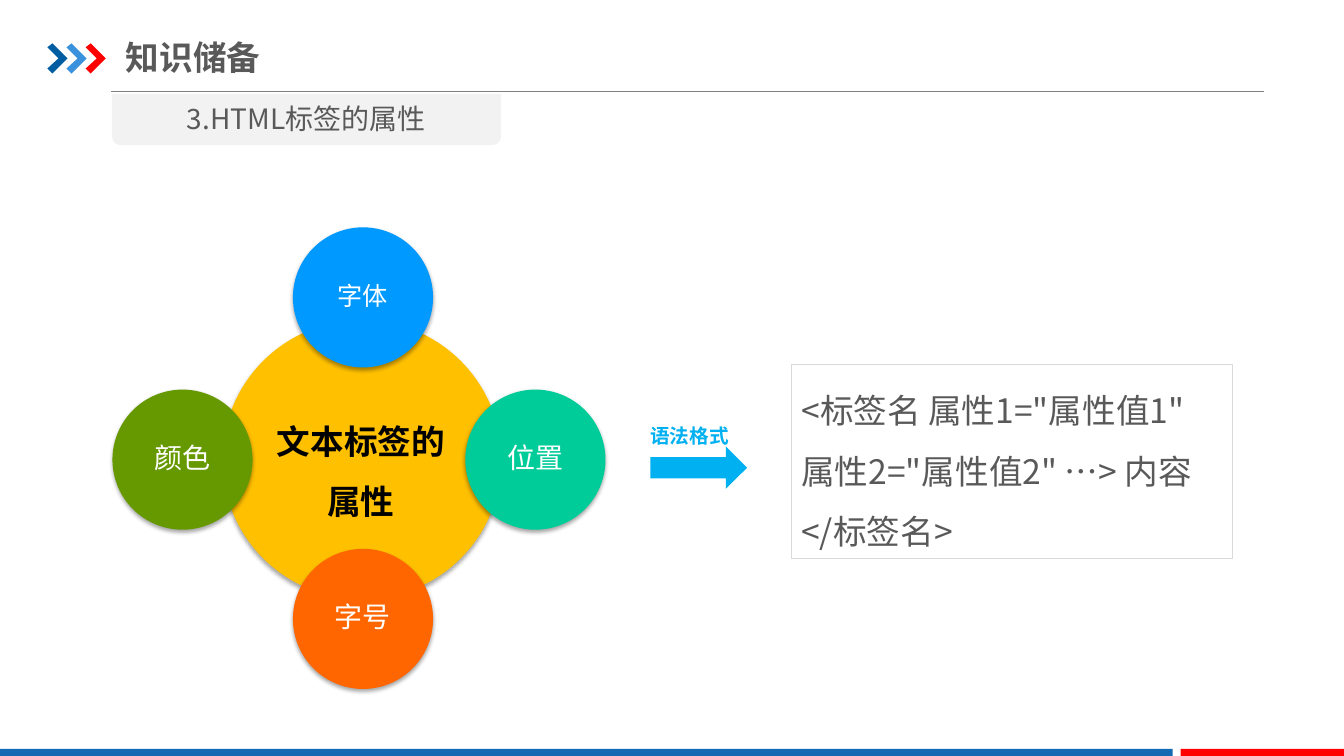
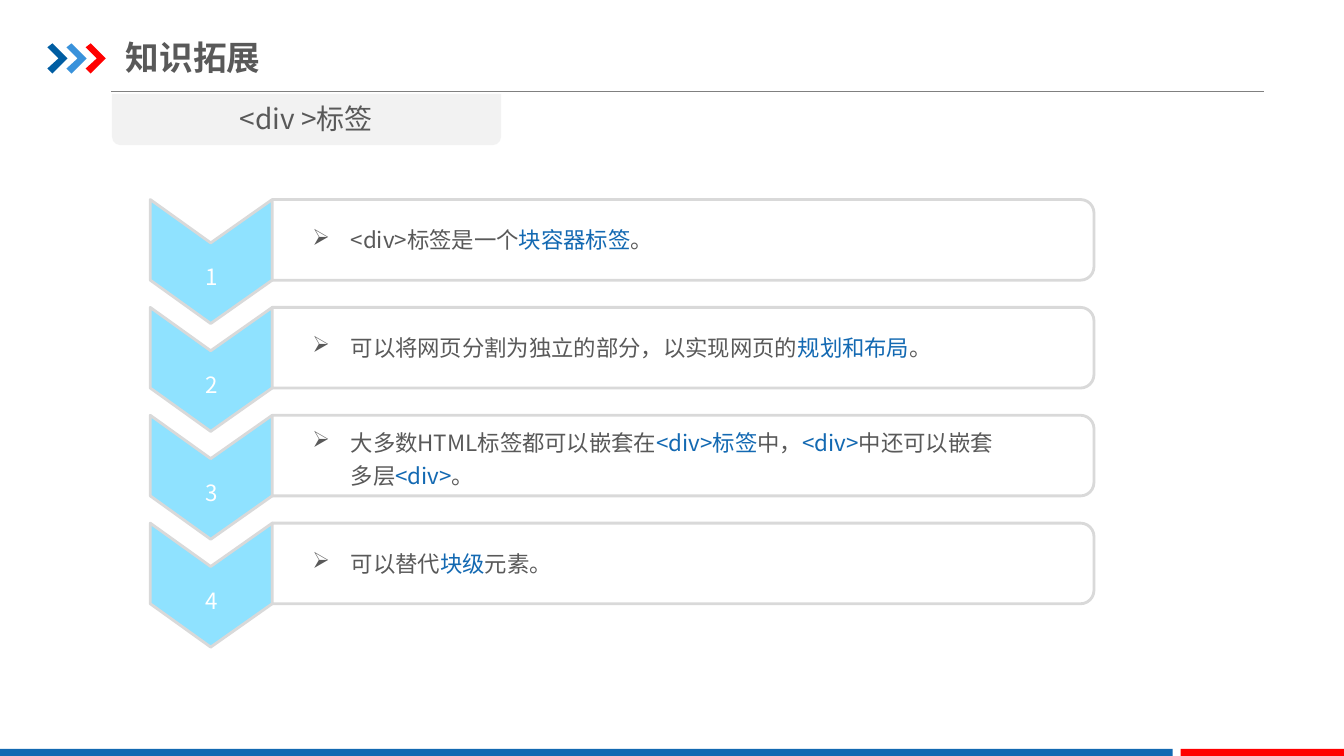
from lxml import etree
from pptx import Presentation
from pptx import util as u
from pptx.dml.color import RGBColor
from pptx.enum import shapes, text
from pptx.oxml.ns import qn

FONT = "Noto Sans CJK SC"
WHITE = RGBColor(0xFF, 0xFF, 0xFF)
BLACK = RGBColor(0, 0, 0)
INK = RGBColor(0x59, 0x59, 0x59)
RULE_GRAY = RGBColor(0x80, 0x80, 0x80)
EDGE_GRAY = RGBColor(0xD9, 0xD9, 0xD9)
BANNER_GRAY = RGBColor(0xF2, 0xF2, 0xF2)
BLUE = RGBColor(0x13, 0x69, 0xB2)
NAVY = RGBColor(0x00, 0x5D, 0xA2)
MID_BLUE = RGBColor(0x39, 0x92, 0xDB)
RED = RGBColor(0xFF, 0, 0)
GOLD = RGBColor(0xFF, 0xC0, 0)
SKY = RGBColor(0, 0x99, 0xFF)
TEAL = RGBColor(0, 0xCC, 0x99)
ORANGE = RGBColor(0xFF, 0x66, 0)
GREEN = RGBColor(0x66, 0x99, 0)
CYAN = RGBColor(0, 0xB0, 0xF0)
PALE_CYAN = RGBColor(0x8F, 0xE2, 0xFF)

Preset = shapes.MSO_SHAPE
CENTER = text.PP_ALIGN.CENTER
TOP, MIDDLE = text.MSO_ANCHOR.TOP, text.MSO_ANCHOR.MIDDLE


# Basic elements
def paint(shape, fill, line=None, weight=0.75):
    shape.shadow.inherit = False
    shape.fill.solid()
    shape.fill.fore_color.rgb = fill
    if line is None:
        shape.line.fill.background()
    else:
        shape.line.color.rgb = line
        shape.line.width = u.Pt(weight)
    return shape


def add_preset(slide, kind, box, fill, line=None, weight=0.75, rotation=0):
    shape = slide.shapes.add_shape(kind, *map(u.Inches, box))
    shape.rotation = rotation
    return paint(shape, fill, line, weight)


def add_polygon(slide, points, fill, line=None, weight=0.75):
    start, *rest = [(u.Inches(x), u.Inches(y)) for x, y in points]
    builder = slide.shapes.build_freeform(*start)
    builder.add_line_segments(rest, close=True)
    return paint(builder.convert_to_shape(), fill, line, weight)


def write(shape, runs, size, bold=False, align=None, anchor=TOP, spacing=None,
          insets=(0.1, 0.05, 0.1, 0.05), bullet=None, wrap=True):
    """Fill a shape with one paragraph of (wording, colour) runs."""
    frame = shape.text_frame
    frame.word_wrap = wrap
    frame.vertical_anchor = anchor
    (frame.margin_left, frame.margin_top,
     frame.margin_right, frame.margin_bottom) = map(u.Inches, insets)
    paragraph = frame.paragraphs[0]
    paragraph.alignment = align or text.PP_ALIGN.LEFT
    if spacing:
        paragraph.line_spacing = spacing
    if bullet:
        properties = paragraph._p.get_or_add_pPr()
        properties.set("marL", str(u.Inches(0.38)))
        properties.set("indent", str(-u.Inches(0.38)))
        etree.SubElement(properties, qn("a:buChar")).set("char", bullet)
    for wording, color in runs:
        run = paragraph.add_run()
        run.text = wording
        run.font.size = u.Pt(size)
        run.font.bold = bold
        run.font.color.rgb = color
        run.font.name = FONT
        east_asian = etree.SubElement(run._r.get_or_add_rPr(), qn("a:ea"))
        east_asian.set("typeface", FONT)


def add_text(slide, box, runs, size, **style):
    write(slide.shapes.add_textbox(*map(u.Inches, box)), runs, size, **style)


def add_soft_shadow(shape):
    effects = shape._element.spPr.find(qn("a:effectLst"))
    shadow = etree.SubElement(effects, qn("a:outerShdw"), blurRad=str(u.Pt(3.1)),
                              dist=str(u.Pt(1.8)), dir="5400000", rotWithShape="0")
    color = etree.SubElement(shadow, qn("a:srgbClr"), val="000000")
    etree.SubElement(color, qn("a:alpha"), val="35000")


def add_circle(slide, center_x, center_y, diameter, fill):
    box = (center_x - diameter / 2, center_y - diameter / 2, diameter, diameter)
    circle = add_preset(slide, Preset.OVAL, box, fill)
    add_soft_shadow(circle)
    return circle


# Shared frame: drawn once, then kept in the blank layout
def add_frame(slide):
    rule = slide.shapes.add_connector(
        shapes.MSO_CONNECTOR.STRAIGHT,
        *map(u.Inches, (1.1, 0.91, 12.54, 0.91)))
    rule.line.color.rgb = RULE_GRAY
    rule.line.width = u.Pt(0.75)
    etree.SubElement(rule._element.spPr, qn("a:effectLst"))

    arrow = ((0, 0.47), (0.05, 0.43), (0.2, 0.58),
             (0.05, 0.73), (0, 0.68), (0.11, 0.58))
    for index, color in enumerate((NAVY, MID_BLUE, RED)):
        left = 0.47 + 0.19 * index
        add_polygon(slide, [(left + x, y) for x, y in arrow], color)

    add_preset(slide, Preset.RECTANGLE, (0, 7.43, 11.63, 0.09), BLUE)
    add_preset(slide, Preset.RECTANGLE, (11.71, 7.43, 1.63, 0.09), RED)
    add_preset(slide, Preset.ROUND_2_SAME_RECTANGLE, (1.11, 0.93, 3.86, 0.51),
               BANNER_GRAY, rotation=180)


def prepare_layout(presentation, slide):
    layout = presentation.slide_layouts[6]
    for placeholder in list(layout.placeholders):
        layout.shapes.element.remove(placeholder.element)
    add_frame(slide)
    for shape in list(slide.shapes):
        layout.shapes.element.append(shape.element)


def add_headings(slide, title, subtitle):
    add_text(slide, (1.25, 0.29, 4.26, 0.55), [(title, INK)], 24, bold=True,
             anchor=MIDDLE, insets=(0, 0.07, 0, 0.07))
    add_text(slide, (1.11, 0.96, 3.86, 0.44), [(subtitle, INK)], 20, align=CENTER)


# Slide 1: attributes around a hub, and the syntax
def fill_attributes(slide):
    add_headings(slide, "知识储备", "3.HTML标签的属性")
    add_circle(slide, 3.59, 4.56, 2.77, GOLD)
    add_text(slide, (2.59, 3.92, 1.98, 1.31), [("文本标签的属性", BLACK)], 24,
             bold=True, align=CENTER, anchor=MIDDLE, spacing=1.5)

    satellites = (("字体", 3.6, 2.95, SKY, 18), ("位置", 5.31, 4.56, TEAL, 20),
                  ("字号", 3.6, 6.14, ORANGE, 20), ("颜色", 1.81, 4.56, GREEN, 20))
    for label, center_x, center_y, color, size in satellites:
        circle = add_circle(slide, center_x, center_y, 1.39, color)
        write(circle, [(label, WHITE)], size, align=CENTER, anchor=MIDDLE,
              spacing=0.9, insets=(0, 0, 0, 0))

    add_preset(slide, Preset.RIGHT_ARROW, (6.45, 4.43, 0.96, 0.42), CYAN)
    add_text(slide, (6.35, 4.16, 0.99, 0.34), [("语法格式", CYAN)], 14,
             bold=True, wrap=False)
    syntax = add_preset(slide, Preset.RECTANGLE, (7.85, 3.62, 4.37, 1.92),
                        WHITE, EDGE_GRAY)
    write(syntax, [('<标签名 属性1="属性值1" 属性2="属性值2" …> 内容 </标签名>', INK)],
          24, spacing=1.5)


# Slide 2: numbered chevrons with a bar each
def add_step(slide, number, top, runs, text_offset):
    left, middle, right = 1.49, 2.09, 2.7
    bar_height, bar_width, notch = 0.8, 8.15, 0.43
    chevron = add_polygon(
        slide,
        [(right, top), (right, top + bar_height),
         (middle, top + bar_height + notch), (left, top + bar_height),
         (left, top), (middle, top + notch)],
        PALE_CYAN, EDGE_GRAY, 2)
    write(chevron, [(str(number), WHITE)], 16, align=CENTER, anchor=MIDDLE,
          spacing=0.9, insets=(0, 0.33, 0, 0))

    # The bar stands upright before its quarter turn
    shift = (bar_width - bar_height) / 2
    add_preset(slide, Preset.ROUND_2_SAME_RECTANGLE,
               (right + shift, top - shift, bar_height, bar_width),
               WHITE, EDGE_GRAY, 2, rotation=90)
    add_text(slide, (3, top + text_offset, 7.02, 0.44), runs, 16,
             spacing=1.25, bullet="➢")


def fill_div(slide):
    add_headings(slide, "知识拓展", "<div >标签")
    one_line, two_lines = 0.15, 0.02
    steps = (
        (one_line, [("<div>标签是一个", INK), ("块容器标签", BLUE), ("。", INK)]),
        (one_line, [("可以将网页分割为独立的部分，以实现网页的", INK),
                    ("规划和布局", BLUE), ("。", INK)]),
        (two_lines, [("大多数HTML标签都可以嵌套在", INK), ("<div>标签", BLUE),
                     ("中，", INK), ("<div>", BLUE), ("中还可以嵌套多层", INK),
                     ("<div>", BLUE), ("。", INK)]),
        (one_line, [("可以替代", INK), ("块级", BLUE), ("元素。", INK)]),
    )
    for index, (text_offset, runs) in enumerate(steps):
        add_step(slide, index + 1, 1.98 + 1.07 * index, runs, text_offset)


def main():
    presentation = Presentation()
    presentation.slide_width = u.Inches(13.33)
    presentation.slide_height = u.Inches(7.5)
    blank = presentation.slide_layouts[6]
    first, second = [presentation.slides.add_slide(blank) for _ in range(2)]
    prepare_layout(presentation, first)
    fill_attributes(first)
    fill_div(second)
    presentation.save("out.pptx")


if __name__ == "__main__":
    main()
